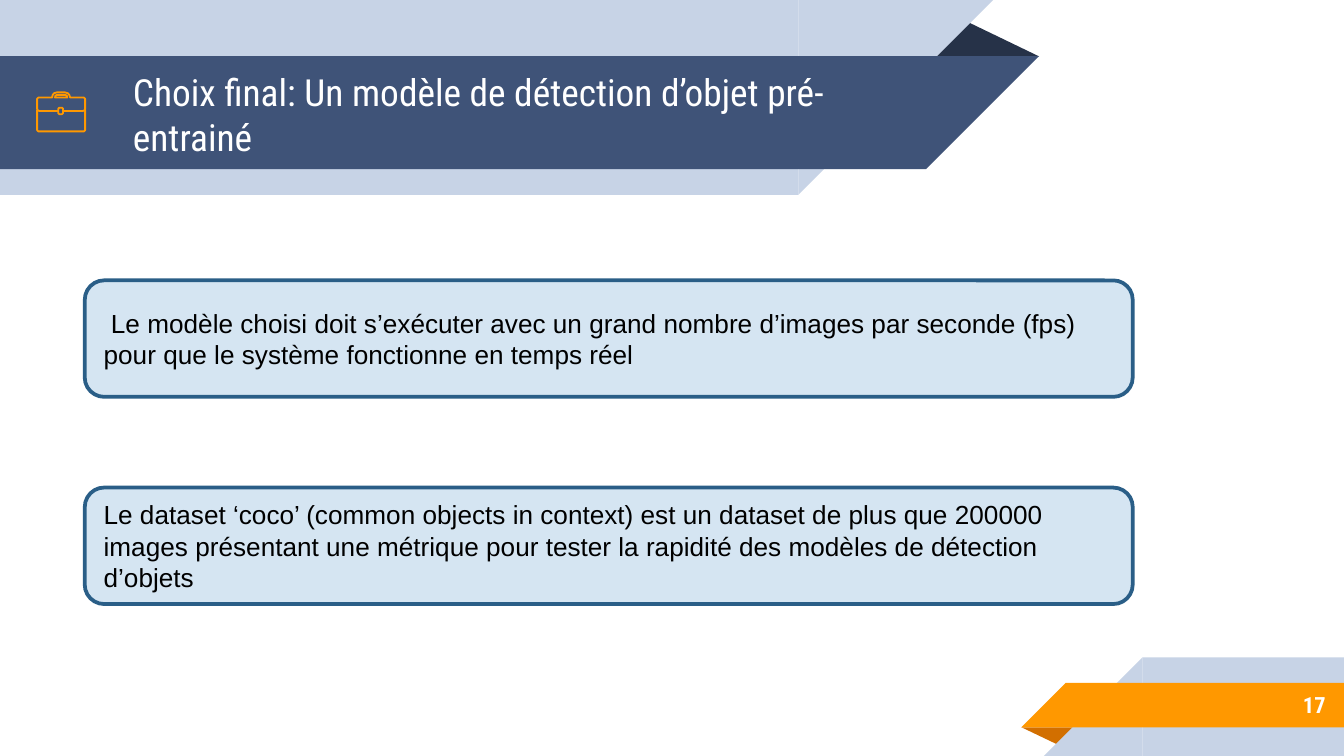
import pptx
import pptx.dml.color
import pptx.enum.shapes
import pptx.enum.text
import pptx.util

Pt = pptx.util.Pt
RGBColor = pptx.dml.color.RGBColor
SHAPE = pptx.enum.shapes.MSO_SHAPE
ALIGN = pptx.enum.text.PP_ALIGN

WHITE = RGBColor(0xFF, 0xFF, 0xFF)
BLACK = RGBColor(0x00, 0x00, 0x00)
PALE_BLUE = RGBColor(0xC7, 0xD3, 0xE6)
SLATE = RGBColor(0x3F, 0x53, 0x78)
DARK_SLATE = RGBColor(0x26, 0x32, 0x48)
ORANGE = RGBColor(0xFF, 0x98, 0x00)
DARK_ORANGE = RGBColor(0xD2, 0x6F, 0x00)
CARD_FILL = RGBColor(0xD5, 0xE5, 0xF2)
CARD_LINE = RGBColor(0x2A, 0x5E, 0x87)

deck = pptx.Presentation()
deck.slide_width, deck.slide_height = Pt(720), Pt(405)
slide = deck.slides.add_slide(deck.slide_layouts[6])
shapes = slide.shapes


def add_filled(kind, left, top, width, height, color, rotation=0):
    shape = shapes.add_shape(kind, Pt(left), Pt(top), Pt(width), Pt(height))
    shape.shadow.inherit = False
    shape.fill.solid()
    shape.fill.fore_color.rgb = color
    shape.line.fill.background()
    shape.rotation = rotation
    return shape


def write(box, text, inset, color, align, font_values):
    """Put one vertically centred paragraph into a box, with inset as its top and bottom margin."""
    frame = box.text_frame
    frame_values = {
        "word_wrap": True,
        "vertical_anchor": pptx.enum.text.MSO_ANCHOR.MIDDLE,
        "margin_left": Pt(7.2),
        "margin_right": Pt(7.2),
        "margin_top": Pt(inset),
        "margin_bottom": Pt(inset),
    }
    for name, value in frame_values.items():
        setattr(frame, name, value)
    paragraph = frame.paragraphs[0]
    paragraph.text = text
    paragraph.alignment = align
    for name, value in font_values.items():
        setattr(paragraph.font, name, value)
    paragraph.font.color.rgb = color


# Header and footer ribbons: each fold lies behind bands that end in a 45° slope
HEADER_TURN, FOOTER_TURN = 90, 270
ribbons = [
    ((495.4, 10.1, 61.2, 20.1, DARK_SLATE, 0), HEADER_TURN, [
        (0, 0, 427.7, 104.4, PALE_BLUE),
        (0, 30.1, 496.1, 60.5, SLATE),
    ]),
    ((547.2, 389.6, 31, 10.1, DARK_ORANGE, 180), FOOTER_TURN, [
        (612, 352.2, 108, 52.8, PALE_BLUE),
        (571, 365.8, 149, 23.9, ORANGE),
    ]),
]
for fold_place, turn, bands in ribbons:
    fold = add_filled(SHAPE.ISOSCELES_TRIANGLE, *fold_place)
    fold.adjustments[0] = 0.32
    for left, top, width, height, color in bands:
        add_filled(SHAPE.RECTANGLE, left, top, width, height, color)
        slope_left = left + width if turn == HEADER_TURN else left - height
        add_filled(SHAPE.RIGHT_TRIANGLE, slope_left, top, height, height, color, turn)

# Title and page number
labels = [
    ((64.1, 31, 432.7, 60.5), "Choix final: Un modèle de détection d’objet pré-entrainé",
     ALIGN.LEFT, {"name": "Roboto Condensed", "size": Pt(20)}),
    ((600, 365, 117.2, 25.2), "17",
     ALIGN.RIGHT, {"name": "Roboto Condensed", "size": Pt(12), "bold": True}),
]
for place, text, align, font_values in labels:
    label = shapes.add_textbox(*map(Pt, place))
    write(label, text, 7.2, WHITE, align, font_values)

# Briefcase icon: each part is a list of (points, closed) contours
lid = [
    ([(45, 52.3), (37.6, 52.3), (37.2, 51), (36.4, 50), (34.8, 49.5), (30.4, 49.5),
      (28.9, 50), (28.2, 51), (27.9, 52.3), (20.5, 52.3), (19.9, 52.9), (19.9, 58.4),
      (20.3, 59.2), (21.3, 59.5), (31.2, 59.5), (31.2, 58.3), (31.8, 57.7), (33.2, 57.7),
      (33.8, 58.3), (33.8, 59.5), (44.2, 59.5), (45.2, 59.2), (45.6, 58.4), (45.6, 52.9)], True),
    ([(36, 52.3), (29.5, 52.3), (29.7, 51.3), (30.4, 50.9), (35.1, 50.9), (35.8, 51.3)], True),
]
clasp = [([(33.8, 59.5), (33.8, 60.6), (33.2, 61.2), (31.8, 61.2), (31.2, 60.6), (31.2, 59.5)], False)]
case = [([(19.9, 58.8), (19.9, 69.8), (20.5, 70.4), (45, 70.4), (45.6, 69.8), (45.6, 58.8)], False)]
for contours in (lid, clasp, case):
    builder = None
    for points, closed in contours:
        start, *rest = [(Pt(x), Pt(y)) for x, y in points]
        if builder is None:
            builder = shapes.build_freeform(*start)
        else:
            builder.move_to(*start)
        builder.add_line_segments(rest, close=closed)
    part = builder.convert_to_shape()
    part.shadow.inherit = False
    part.fill.background()
    part.line.color.rgb = ORANGE
    part.line.width = Pt(0.96)

# Statement cards
statements = [
    " Le modèle choisi doit s’exécuter avec un grand nombre d’images par seconde (fps) "
    "pour que le système fonctionne en temps réel",
    "Le dataset ‘coco’ (common objects in context) est un dataset de plus que 200000 images "
    "présentant une métrique pour tester la rapidité des modèles de détection d’objets",
]
for index, statement in enumerate(statements):
    card = add_filled(SHAPE.ROUNDED_RECTANGLE, 45.4, 150.2 + 111 * index, 561.4, 62.4, CARD_FILL)
    card.line.color.rgb = CARD_LINE
    card.line.width = Pt(2)
    write(card, statement, 3.6, BLACK, ALIGN.LEFT, {"name": "Arial", "size": Pt(14)})

deck.save("out.pptx")
